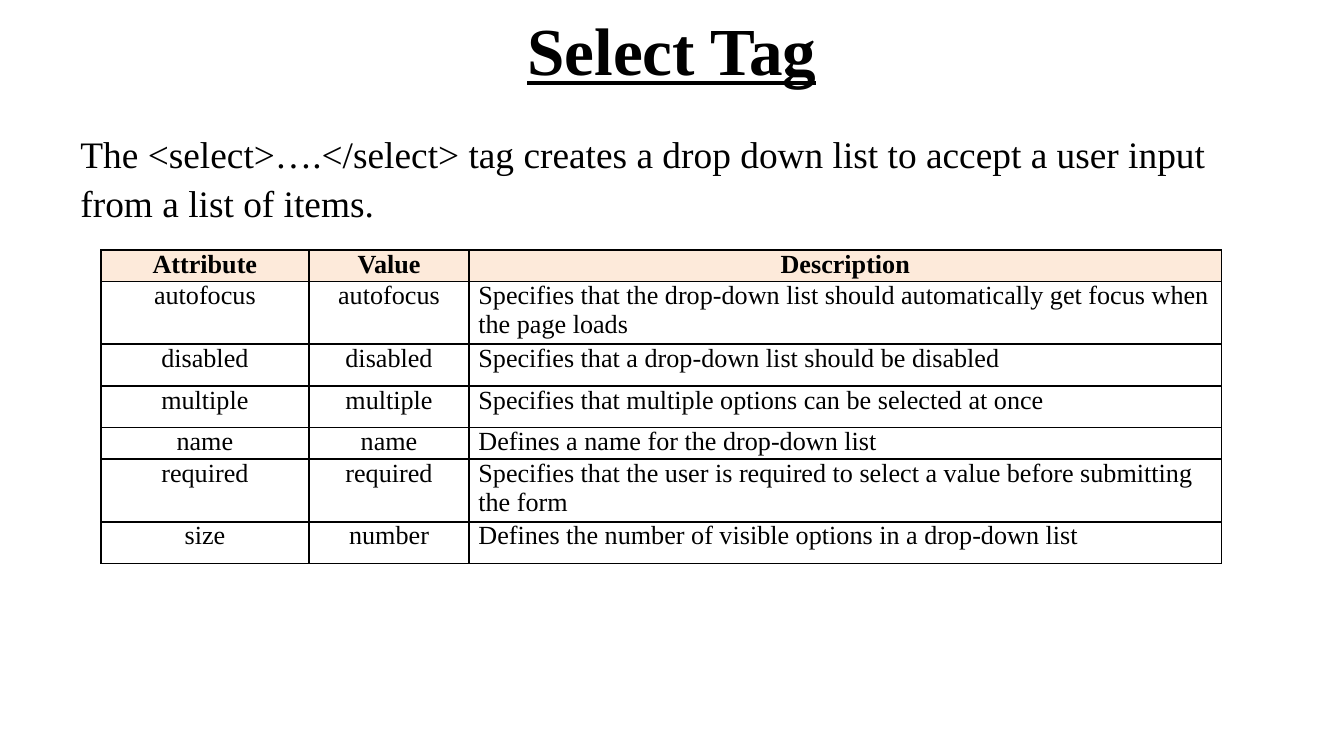
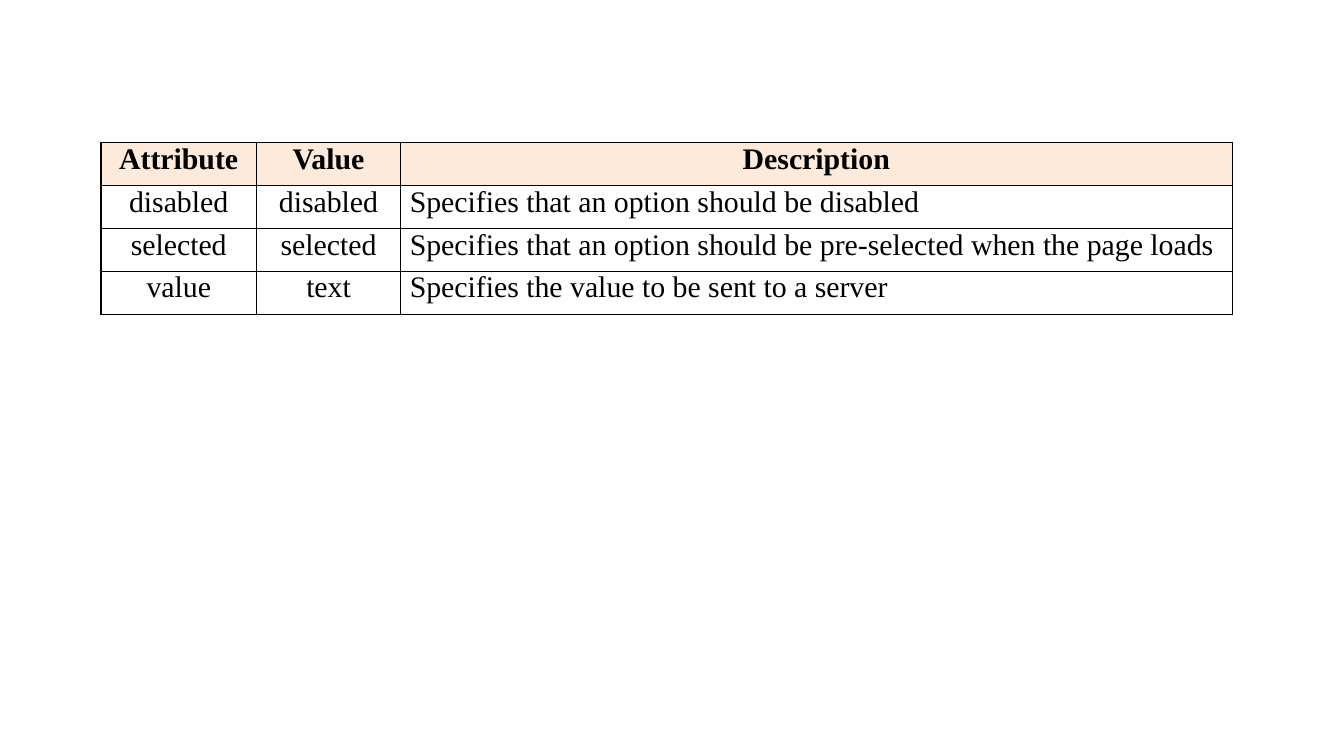
from dataclasses import dataclass

from lxml.etree import SubElement
from pptx import Presentation
from pptx.dml.color import RGBColor
from pptx.enum.text import MSO_ANCHOR, PP_ALIGN
from pptx.oxml.ns import qn
from pptx.util import Inches, Pt


@dataclass(frozen=True)
class Theme:
    font: str = "Times New Roman"
    ink: str = "000000"
    header_fill: str = "FDEADA"
    title_size: int = 36
    body_size: int = 20
    body_spacing: float = 1.09
    border_width: int = 1
    cell_inset: float = 0.07


THEME = Theme()

# Content
TITLE = "Select Tag"
INTRO = ("The <select>….</select> tag creates a drop down list to accept "
         "a user input from a list of items.")
HEADER = ("Attribute", "Value", "Description")
SELECT_ATTRIBUTES = [
    ("autofocus", "autofocus", "Specifies that the drop-down list should "
     "automatically get focus when the page loads"),
    ("disabled", "disabled", "Specifies that a drop-down list should be disabled"),
    ("multiple", "multiple", "Specifies that multiple options can be selected at once"),
    ("name", "name", "Defines a name for the drop-down list"),
    ("required", "required", "Specifies that the user is required to select "
     "a value before submitting the form"),
    ("size", "number", "Defines the number of visible options in a drop-down list"),
]
OPTION_ATTRIBUTES = [
    ("disabled", "disabled", "Specifies that an option should be disabled"),
    ("selected", "selected",
     "Specifies that an option should be pre-selected when the page loads"),
    ("value", "text", "Specifies the value to be sent to a server"),
]

# Layout in inches
SLIDE_WIDTH = 10
MARGIN = 0.05 * SLIDE_WIDTH
TEXT_WIDTH = SLIDE_WIDTH - 2 * MARGIN
TABLE_LEFT = 0.075 * SLIDE_WIDTH
LINE_ROW, TALL_ROW, DOUBLE_ROW = 0.21, 0.31, 0.43
TABLES = {
    "select": {
        "rows": SELECT_ATTRIBUTES, "top": 1.86, "size": 14,
        "columns": (1.55, 1.19, 5.6),
        "heights": (LINE_ROW, DOUBLE_ROW, TALL_ROW, TALL_ROW,
                    LINE_ROW, DOUBLE_ROW, TALL_ROW),
    },
    "option": {
        "rows": OPTION_ATTRIBUTES, "top": 1.06, "size": 16,
        "columns": (1.16, 1.07, 6.19),
        "heights": (0.32,) * (len(OPTION_ATTRIBUTES) + 1),
    },
}


def set_attributes(target, values):
    for name, value in values.items():
        setattr(target, name, value)


def write_text(frame, text, size, align=PP_ALIGN.LEFT, spacing=None, **style):
    paragraph = frame.paragraphs[0]
    set_attributes(paragraph, {"alignment": align, "line_spacing": spacing})
    run = paragraph.add_run()
    run.text = text
    set_attributes(run.font, {"name": THEME.font, "size": Pt(size), **style})
    run.font.color.rgb = RGBColor.from_string(THEME.ink)


def add_text(slide, top, height, text, size, anchor=MSO_ANCHOR.TOP, **style):
    box = slide.shapes.add_textbox(
        *map(Inches, (MARGIN, top, TEXT_WIDTH, height)))
    set_attributes(box.text_frame, {"word_wrap": True, "vertical_anchor": anchor})
    write_text(box.text_frame, text, size, **style)


def add_borders(cell):
    properties = cell._tc.get_or_add_tcPr()
    for index, side in enumerate(("lnL", "lnR", "lnT", "lnB")):
        line = properties.makeelement(
            qn(f"a:{side}"), {"w": str(Pt(THEME.border_width))})
        fill = SubElement(line, qn("a:solidFill"))
        SubElement(fill, qn("a:srgbClr"), val=THEME.ink)
        properties.insert(index, line)


def format_cell(cell, text, size, is_header, centered):
    inset = Inches(THEME.cell_inset)
    set_attributes(cell, {"margin_left": inset, "margin_right": inset,
                          "margin_top": 0, "margin_bottom": 0})
    if is_header:
        cell.fill.solid()
        cell.fill.fore_color.rgb = RGBColor.from_string(THEME.header_fill)
    else:
        cell.fill.background()
    add_borders(cell)
    write_text(cell.text_frame, text, size, bold=is_header,
               align=PP_ALIGN.CENTER if centered else PP_ALIGN.LEFT)


def add_attribute_table(slide, rows, top, size, columns, heights):
    table = slide.shapes.add_table(
        len(heights), len(columns),
        *map(Inches, (TABLE_LEFT, top, sum(columns), sum(heights)))).table
    set_attributes(table, {"first_row": False, "horz_banding": False})
    for column, width in zip(table.columns, columns):
        column.width = Inches(width)
    for row, height in zip(table.rows, heights):
        row.height = Inches(height)
    for row_index, texts in enumerate([HEADER, *rows]):
        is_header = row_index == 0
        for column_index, text in enumerate(texts):
            is_description = column_index == len(columns) - 1
            format_cell(table.cell(row_index, column_index), text, size,
                        is_header, is_header or not is_description)


def main():
    presentation = Presentation()
    presentation.slide_width = Inches(SLIDE_WIDTH)
    presentation.slide_height = Inches(SLIDE_WIDTH) * 9 // 16
    blank = presentation.slide_layouts[6]

    # Select tag: title, introduction and attributes
    slide = presentation.slides.add_slide(blank)
    add_text(slide, -0.02, 0.77, TITLE, THEME.title_size, MSO_ANCHOR.MIDDLE,
             align=PP_ALIGN.CENTER, bold=True, underline=True)
    add_text(slide, 0.9, 0.92, INTRO, THEME.body_size,
             spacing=THEME.body_spacing)
    add_attribute_table(slide, **TABLES["select"])

    # Option attributes
    slide = presentation.slides.add_slide(blank)
    add_attribute_table(slide, **TABLES["option"])

    presentation.save("out.pptx")


if __name__ == "__main__":
    main()
